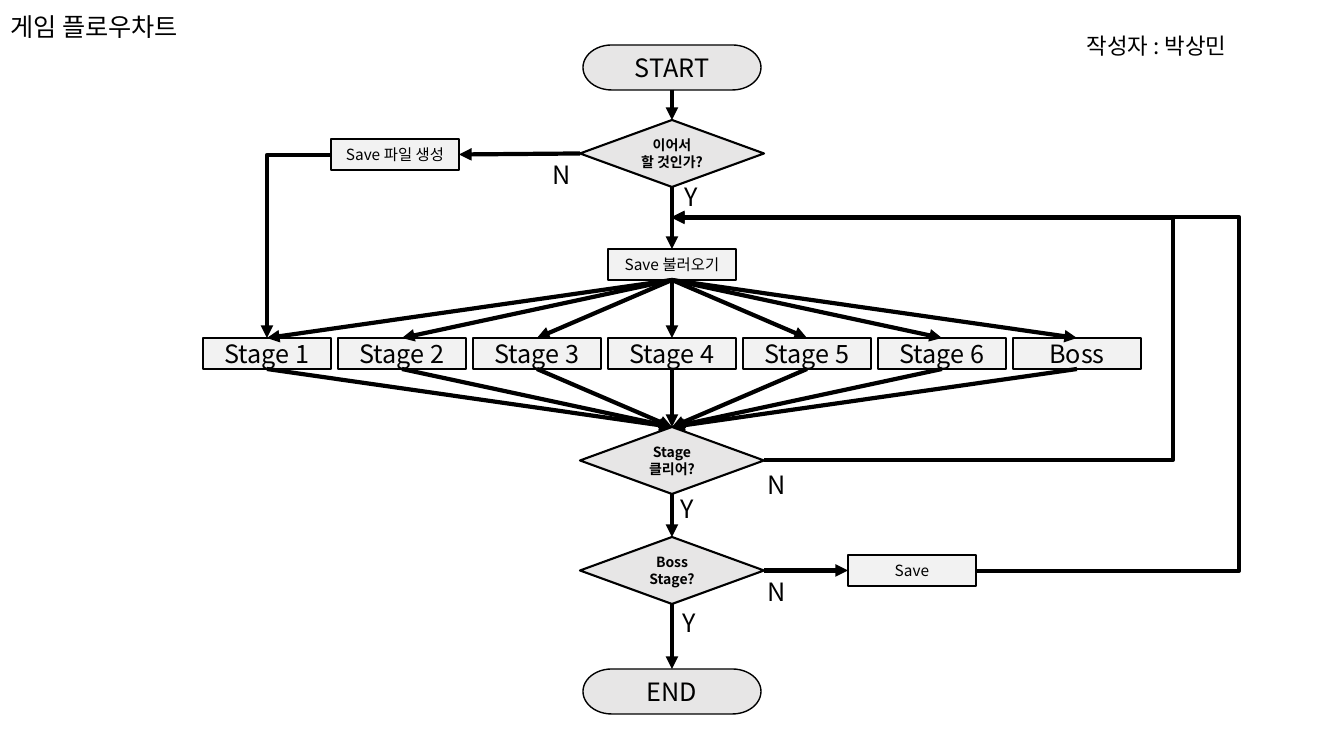
from dataclasses import dataclass

from lxml import etree
from pptx import Presentation
from pptx.dml.color import RGBColor
from pptx.enum.shapes import MSO_CONNECTOR, MSO_SHAPE
from pptx.enum.text import MSO_ANCHOR, MSO_AUTO_SIZE, PP_ALIGN
from pptx.oxml.ns import qn
from pptx.util import Pt

STRAIGHT, ELBOW = MSO_CONNECTOR.STRAIGHT, MSO_CONNECTOR.ELBOW
RECTANGLE, DIAMOND = MSO_SHAPE.RECTANGLE, MSO_SHAPE.DIAMOND
TERMINATOR = MSO_SHAPE.FLOWCHART_TERMINATOR
LEFT, CENTER = PP_ALIGN.LEFT, PP_ALIGN.CENTER
TOP, MIDDLE = MSO_ANCHOR.TOP, MSO_ANCHOR.MIDDLE
GROW = MSO_AUTO_SIZE.SHAPE_TO_FIT_TEXT
TOP_SITE, LEFT_SITE, BOTTOM_SITE, RIGHT_SITE = range(4)
EMU_PER_PX = 914400 / 100.8
AXIS = 672
STAGE_PITCH = 135


@dataclass(frozen=True)
class Theme:
    """Colours, font and type sizes of the flowchart."""
    font: str = "Noto Sans CJK KR"
    ink: RGBColor = RGBColor(0, 0, 0)
    control: RGBColor = RGBColor(0xE7, 0xE6, 0xE6)
    process: RGBColor = RGBColor(0xF2, 0xF2, 0xF2)
    large: int = 18
    author: int = 16
    small: int = 11
    decision: int = 10
    arrow: int = 3


@dataclass(frozen=True)
class NodeKind:
    """Form shared by all flowchart nodes of one kind."""
    outline: int
    width: int
    height: int
    fill: RGBColor
    border: float
    size: int
    bold: bool = False


THEME = Theme()
TERMINAL = NodeKind(TERMINATOR, 178, 45, THEME.control, 1, THEME.large)
DECISION = NodeKind(DIAMOND, 184, 67, THEME.control, 1.5, THEME.decision, True)
STAGE = NodeKind(RECTANGLE, 128, 31, THEME.process, 1, THEME.large)
SAVE = NodeKind(RECTANGLE, 128, 31, THEME.process, 1, THEME.small)


def px(*lengths):
    """Turn pixel lengths into EMU."""
    return [round(length * EMU_PER_PX) for length in lengths]


def write_text(frame, text, size=THEME.large, bold=False, align=LEFT,
               anchor=TOP, wrap=False):
    """Fill a text frame and format every paragraph."""
    frame.text = text
    frame.word_wrap = wrap
    frame.vertical_anchor = anchor
    for paragraph in frame.paragraphs:
        paragraph.alignment = align
        for run in paragraph.runs:
            run.font.size, run.font.bold = Pt(size), bold
            run.font.color.rgb = THEME.ink
            run.font.name = THEME.font
            east_asian = etree.SubElement(run.font._element, qn("a:ea"))
            east_asian.set("typeface", THEME.font)


def add_heading(slide, text):
    """Place the slide title in its placeholder."""
    heading = slide.shapes.title
    heading.left, heading.top, heading.width, heading.height = px(0, 6, 208, 40)
    write_text(heading.text_frame, text)


def add_label(slide, text, left, top, width, height=40, **text_format):
    """Add an unwrapped text box."""
    label = slide.shapes.add_textbox(*px(left, top, width, height))
    write_text(label.text_frame, text, **text_format)
    label.text_frame.auto_size = GROW


def add_node(slide, kind, text, top, center=AXIS):
    """Add a flowchart node centred on a vertical line."""
    node = slide.shapes.add_shape(
        kind.outline, *px(center - kind.width / 2, top, kind.width, kind.height))
    node.shadow.inherit = False
    node.fill.solid()
    node.fill.fore_color.rgb = kind.fill
    node.line.color.rgb = THEME.ink
    node.line.width = Pt(kind.border)
    write_text(node.text_frame, text, size=kind.size, bold=kind.bold,
               align=CENTER, anchor=MIDDLE, wrap=True)
    return node


def format_arrow(arrow):
    """Give a connector its line, its arrowhead and no shadow."""
    arrow.line.color.rgb = THEME.ink
    arrow.line.width = Pt(THEME.arrow)
    head = etree.SubElement(arrow.line._get_or_add_ln(), qn("a:tailEnd"))
    head.set("type", "triangle")
    etree.SubElement(arrow._element.spPr, qn("a:effectLst"))


def link(slide, source, target, leave=BOTTOM_SITE, enter=TOP_SITE):
    """Join two nodes with a straight arrow."""
    arrow = slide.shapes.add_connector(STRAIGHT, 0, 0, 0, 0)
    arrow.begin_connect(source, leave)
    arrow.end_connect(target, enter)
    format_arrow(arrow)


def add_bent_arrow(slide, start, end, turn=None):
    """Draw an arrow with one corner, or with two at the x position turn."""
    arrow = slide.shapes.add_connector(ELBOW, *px(*start, *end))
    geometry = arrow._element.spPr.find(qn("a:prstGeom"))
    if turn is None:
        geometry.set("prst", "bentConnector2")
    else:
        ratio = (turn - start[0]) / (end[0] - start[0])
        guide = etree.SubElement(geometry.find(qn("a:avLst")), qn("a:gd"))
        guide.set("name", "adj1")
        guide.set("fmla", f"val {round(ratio * 100000)}")
    format_arrow(arrow)


def main():
    """Build the game flowchart and save it."""
    deck = Presentation()
    deck.slide_width, deck.slide_height = px(1344, 756)
    slide = deck.slides.add_slide(deck.slide_layouts[5])
    add_heading(slide, "게임 플로우차트")
    add_label(slide, "작성자 : 박상민", 1077, 27, 177, 37, size=THEME.author)

    start = add_node(slide, TERMINAL, "START", 45)
    resume = add_node(slide, DECISION, "이어서\n할 것인가?", 120)
    new_save = add_node(slide, SAVE, "Save 파일 생성", 139, 395)
    load_save = add_node(slide, SAVE, "Save 불러오기", 249)
    stage_names = [f"Stage {number}" for number in range(1, 7)] + ["Boss"]
    stages = [add_node(slide, STAGE, name, 338, AXIS + (place - 3) * STAGE_PITCH)
              for place, name in enumerate(stage_names)]
    cleared = add_node(slide, DECISION, "Stage\n클리어?", 427)
    boss = add_node(slide, DECISION, "Boss Stage?", 537)
    keep_save = add_node(slide, SAVE, "Save", 555, 912)
    end = add_node(slide, TERMINAL, "END", 669)

    for source, target in ((start, resume), (resume, load_save),
                           (cleared, boss), (boss, end)):
        link(slide, source, target)
    for stage in stages:
        link(slide, load_save, stage)
        link(slide, stage, cleared)
    link(slide, resume, new_save, LEFT_SITE, RIGHT_SITE)
    link(slide, boss, keep_save, RIGHT_SITE, LEFT_SITE)

    add_bent_arrow(slide, (331, 155), (AXIS - 3 * STAGE_PITCH, 338))
    add_bent_arrow(slide, (764, 460), (AXIS, 218), turn=1173)
    add_bent_arrow(slide, (976, 571), (AXIS, 217), turn=1239)

    for answer, left, top in (("Y", 675, 176), ("N", 543, 154), ("Y", 671, 488),
                              ("N", 758, 464), ("N", 758, 571), ("Y", 673, 602)):
        add_label(slide, answer, left, top, 36)
    deck.save("out.pptx")


main()
